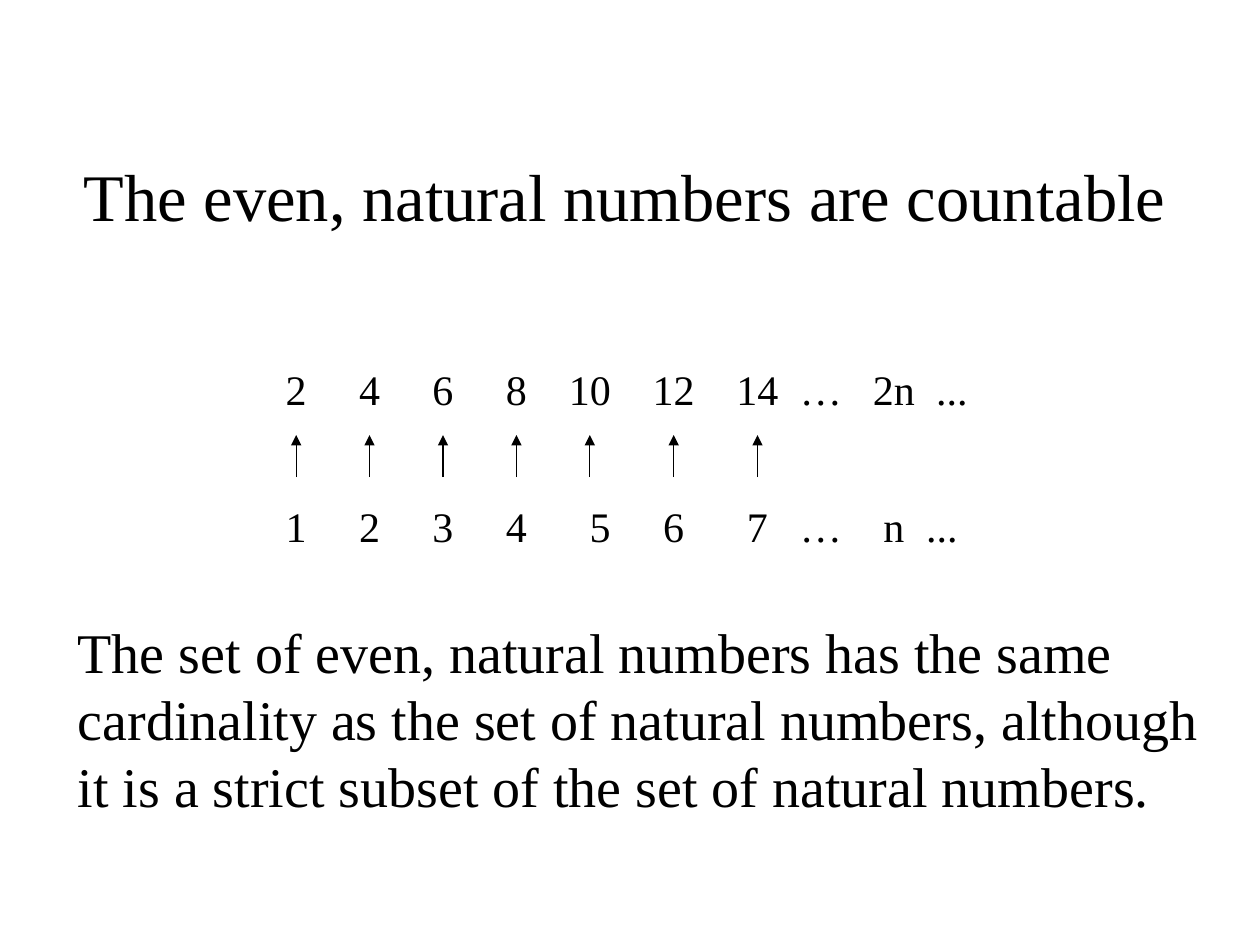
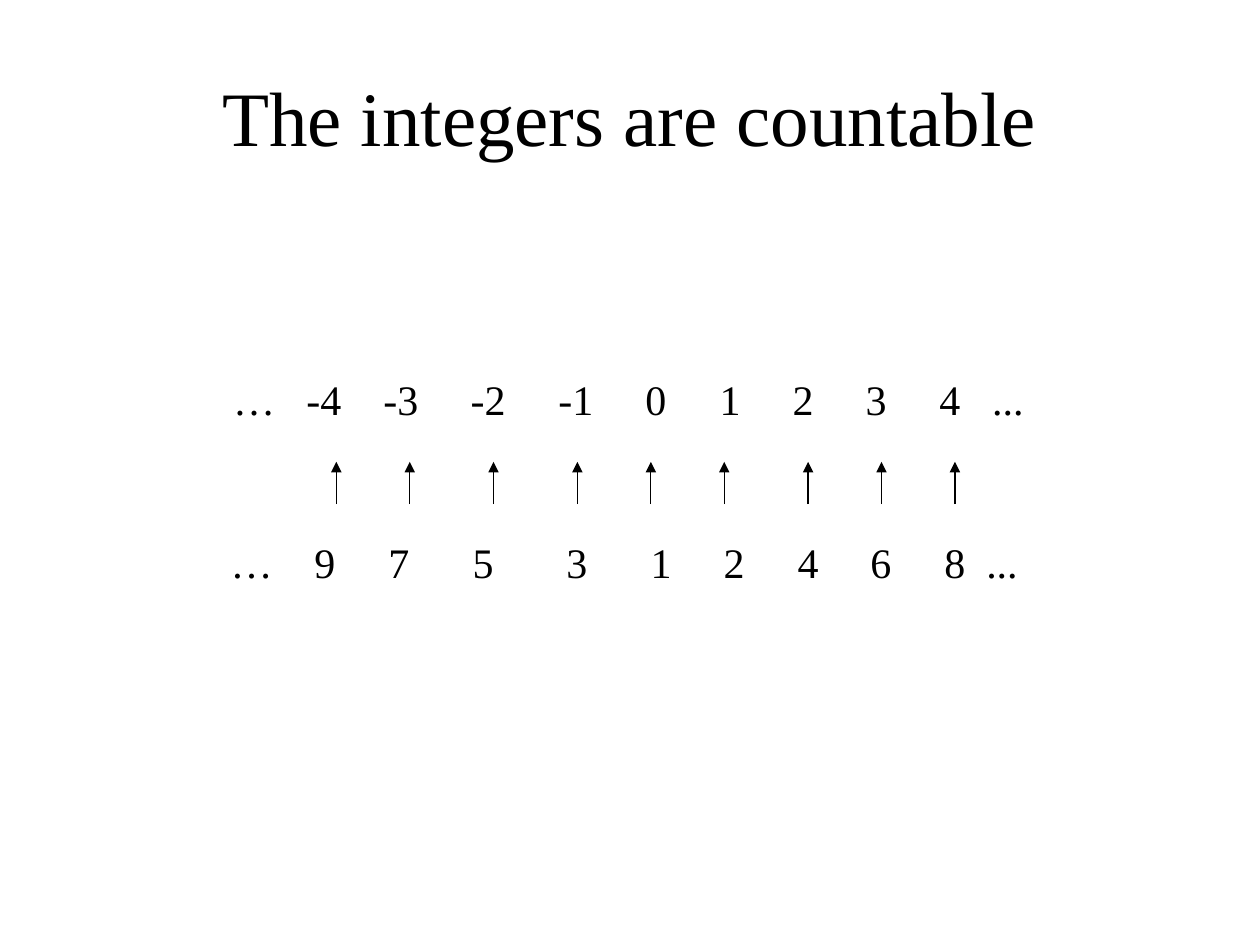
"""Build two slides that pair sets of numbers with the natural numbers."""
from dataclasses import dataclass
from itertools import accumulate

from lxml import etree
from pptx import Presentation
from pptx import util as u
from pptx.dml import color
from pptx.enum import shapes, text
from pptx.oxml import ns


@dataclass(frozen=True)
class Theme:
    font: str = "Times New Roman"
    ink: color.RGBColor = color.RGBColor(0, 0, 0)
    paper: color.RGBColor = color.RGBColor(255, 255, 255)
    title: int = 44
    long_title: int = 38
    body: int = 32
    number: int = 24
    hairline: float = 0.75
    inset: float = 0.25
    arrow_length: float = 0.85


class Slides:
    def __init__(self, theme):
        self.theme = theme
        self.deck = Presentation()
        self.deck.slide_width, self.deck.slide_height = u.Cm(25.4), u.Cm(19.05)
        self.page = None

    def add_page(self, title, size, left, top, width, height):
        self.page = self.deck.slides.add_slide(self.deck.slide_layouts[5])
        fill = self.page.background.fill
        fill.solid()
        fill.fore_color.rgb = self.theme.paper
        box = self.page.shapes.title
        box.left, box.top = u.Cm(left), u.Cm(top)
        box.width, box.height = u.Cm(width), u.Cm(height)
        self.set_lines(box, [title], size, text.PP_ALIGN.CENTER)
        box.text_frame.vertical_anchor = text.MSO_ANCHOR.MIDDLE

    def set_lines(self, box, lines, size, alignment=text.PP_ALIGN.LEFT):
        frame = box.text_frame
        frame.word_wrap = True
        frame.auto_size = text.MSO_AUTO_SIZE.NONE
        frame.text = "\n".join(lines)
        for para in frame.paragraphs:
            para.alignment = alignment
            for span in para.runs:
                span.font.name = self.theme.font
                span.font.size = u.Pt(size)
                span.font.color.rgb = self.theme.ink

    def add_text(self, lines, size, left, top, width, height):
        box = self.page.shapes.add_textbox(
            u.Cm(left), u.Cm(top), u.Cm(width), u.Cm(height))
        self.set_lines(box, lines, size)
        return box

    def add_number_row(self, entries, centres, left, top, width):
        box = self.add_text(
            ["\t".join(entries.split())], self.theme.number, left, top, width, 1.27)
        properties = box.text_frame.paragraphs[0]._p.get_or_add_pPr()
        stops = etree.SubElement(properties, ns.qn("a:tabLst"))
        for centre in centres:
            position = u.Cm(centre - left - self.theme.inset)
            etree.SubElement(stops, ns.qn("a:tab"), pos=str(int(position)), algn="ctr")

    def add_arrows(self, centres, bottom):
        for centre in centres:
            arrow = self.page.shapes.add_connector(
                shapes.MSO_CONNECTOR.STRAIGHT, u.Cm(centre), u.Cm(bottom),
                u.Cm(centre), u.Cm(bottom - self.theme.arrow_length))
            arrow.line.color.rgb = self.theme.ink
            arrow.line.width = u.Pt(self.theme.hairline)
            properties = arrow.element.spPr
            line = properties.find(ns.qn("a:ln"))
            etree.SubElement(line, ns.qn("a:tailEnd"), type="triangle")
            etree.SubElement(properties, ns.qn("a:effectLst"))


NARROW, WIDE = 1.48, 1.69


def build_even_numbers(slides):
    theme = slides.theme
    slides.add_page("The even, natural numbers are countable", theme.long_title,
                    1.07, 2.34, 23.06, 3.18)
    centres = list(accumulate([5.97] + [NARROW] * 4 + [WIDE] * 2))
    slides.add_number_row("1 2 3 4 5 6 7 … n ...",
                          centres[1:4] + [12.1] + centres[5:] + [16.55, 18.02, 18.99],
                          5.51, 9.96, 15)
    slides.add_number_row("2 4 6 8 10 12 14 … 2n ...",
                          centres[1:] + [16.55, 18.02, 19.19], 5.51, 7.2, 15)
    slides.add_arrows(centres, 9.62)
    slides.add_text(["The set of even, natural numbers has the same",
                     "cardinality as the set of natural numbers, although",
                     "it is a strict subset of the set of natural numbers."],
                    theme.body, 1.32, 12.32, 23.37, 4.32)


def build_integers(slides):
    slides.add_page("The integers are countable", slides.theme.title,
                    1.9, 0.64, 21.59, 3.39)
    slides.add_number_row("… -4 -3 -2 -1 0 1 2 3 4 ...",
                          [6.53, 8.08, 9.84, 11.61, 13.22, 14.72, 16.19, 17.66, 19.15, 20.32],
                          4.45, 7.41, 17)
    slides.add_number_row("… 9 7 5 3 1 2 4 6 8 ...",
                          [6.55, 8.04, 9.74, 11.63, 13.33, 14.8, 16.29, 17.76, 19.25, 20.2],
                          4.4, 10.7, 17)
    gaps = [NARROW, WIDE, WIDE, NARROW, NARROW, WIDE, NARROW, NARROW]
    slides.add_arrows(accumulate([6.78] + gaps), 10.16)


def main():
    slides = Slides(Theme())
    build_even_numbers(slides)
    build_integers(slides)
    slides.deck.save("out.pptx")


if __name__ == "__main__":
    main()
